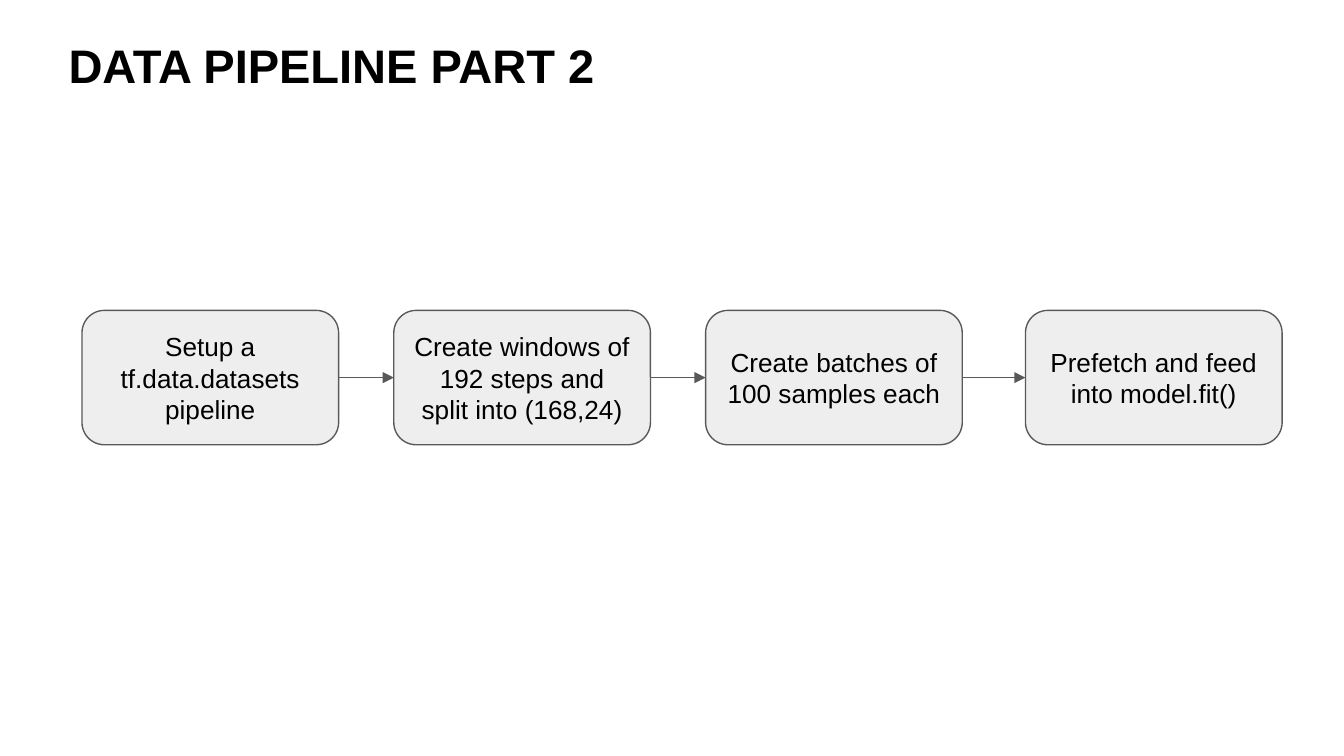
import dataclasses
import itertools

import pptx
import pptx.dml.color
import pptx.enum.shapes
import pptx.enum.text
import pptx.oxml.ns
import pptx.util
from lxml import etree
from pptx.util import Inches

FONT = "Arial"
BLACK = "000000"
BOX_FILL = "EEEEEE"
OUTLINE = "595959"
STEP_TOP, STEP_WIDTH, STEP_HEIGHT = 2.31, 1.91, 1


@dataclasses.dataclass
class Step:
    left: float
    text: str


STEPS = [
    Step(0.61, "Setup a tf.data.datasets pipeline"),
    Step(2.93, "Create windows of 192 steps and split into (168,24)"),
    Step(5.25, "Create batches of 100 samples each"),
    Step(7.63, "Prefetch and feed into model.fit()"),
]


def color(value: str) -> pptx.dml.color.RGBColor:
    return pptx.dml.color.RGBColor.from_string(value)


def write_text(shape, text: str, *, size: float, bold: bool = False,
               align=pptx.enum.text.PP_ALIGN.LEFT,
               anchor=pptx.enum.text.MSO_ANCHOR.TOP) -> None:
    frame = shape.text_frame
    frame.word_wrap = True
    frame.auto_size = pptx.enum.text.MSO_AUTO_SIZE.NONE
    frame.vertical_anchor = anchor
    frame.margin_left = frame.margin_right = Inches(0.1)
    frame.margin_top = frame.margin_bottom = Inches(0.1)
    paragraph = frame.paragraphs[0]
    paragraph.alignment = align
    run = paragraph.add_run()
    run.text = text
    run.font.name = FONT
    run.font.size = pptx.util.Pt(size)
    run.font.bold = bold
    run.font.color.rgb = color(BLACK)


def set_outline(shape) -> None:
    shape.line.color.rgb = color(OUTLINE)
    shape.line.width = pptx.util.Pt(0.75)


def add_step(slide, step: Step):
    shape = slide.shapes.add_shape(
        pptx.enum.shapes.MSO_SHAPE.ROUNDED_RECTANGLE,
        Inches(step.left), Inches(STEP_TOP), Inches(STEP_WIDTH), Inches(STEP_HEIGHT))
    shape.shadow.inherit = False
    shape.fill.solid()
    shape.fill.fore_color.rgb = color(BOX_FILL)
    set_outline(shape)
    write_text(shape, step.text, size=14, align=pptx.enum.text.PP_ALIGN.CENTER,
               anchor=pptx.enum.text.MSO_ANCHOR.MIDDLE)
    return shape


def add_arrow(slide, source, target) -> None:
    connector = slide.shapes.add_connector(
        pptx.enum.shapes.MSO_CONNECTOR.STRAIGHT, 0, 0, 0, 0)
    # Rectangle connection sites: 3 is the right side, 1 the left side
    connector.begin_connect(source, 3)
    connector.end_connect(target, 1)
    set_outline(connector)
    qn = pptx.oxml.ns.qn
    etree.SubElement(connector.get_or_add_ln(), qn("a:tailEnd"), type="triangle")
    etree.SubElement(connector.element.spPr, qn("a:effectLst"))


def main() -> None:
    # Widescreen slide, 16:9
    presentation = pptx.Presentation()
    presentation.slide_width = Inches(10)
    presentation.slide_height = Inches(10) * 9 // 16
    slide = presentation.slides.add_slide(presentation.slide_layouts[5])

    # Title
    title = slide.shapes.title
    title.left, title.top = Inches(0.41), Inches(0.17)
    title.width, title.height = Inches(9.32), Inches(0.63)
    write_text(title, "DATA PIPELINE PART 2", size=25.2, bold=True)

    # Pipeline steps, joined by arrows
    boxes = [add_step(slide, step) for step in STEPS]
    for source, target in itertools.pairwise(boxes):
        add_arrow(slide, source, target)

    presentation.save("out.pptx")


if __name__ == "__main__":
    main()
